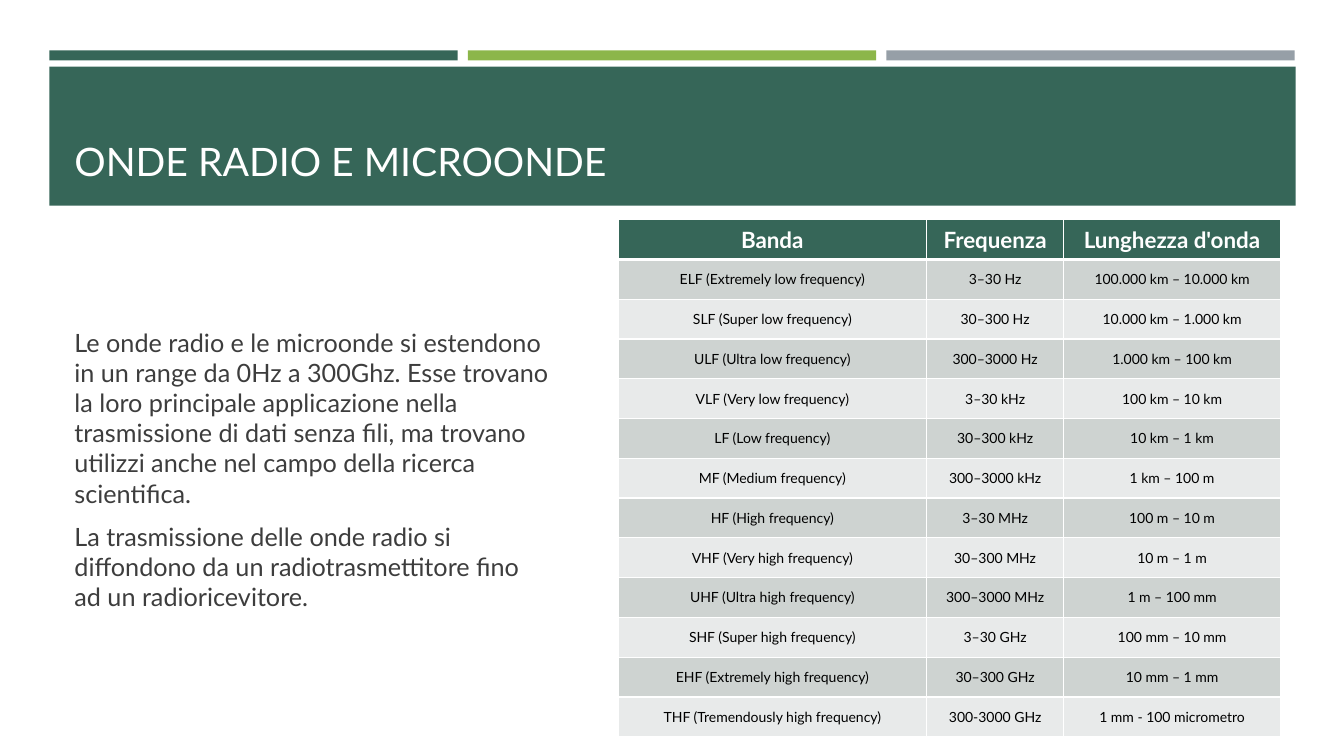
from dataclasses import dataclass

from lxml import etree
from pptx import Presentation
from pptx.dml.color import RGBColor
from pptx.enum import shapes, text
from pptx.oxml import ns
from pptx.util import Inches, Pt


@dataclass(frozen=True)
class Theme:
    font: str = "Lato"
    green: str = "366658"
    lime: str = "8CB64A"
    grey: str = "969FA7"
    white: str = "FFFFFF"
    black: str = "000000"
    body_text: str = "3D3D3D"
    bands: tuple = ("CED3D1", "E8EAEA")
    title_size: int = 28
    body_size: int = 18
    header_size: int = 16
    cell_size: int = 10


theme = Theme()


def add_run(paragraph, content, size, color, bold=False):
    run = paragraph.add_run()
    run.text = content
    run.font.name = theme.font
    run.font.size = Pt(size)
    run.font.bold = bold
    run.font.color.rgb = RGBColor.from_string(color)


def add_border(cell, side, width):
    """Draw a white line on one side (L, R, T or B); call before filling the cell."""
    properties = cell._tc.get_or_add_tcPr()
    line = etree.SubElement(properties, ns.qn(f"a:ln{side}"), w=str(Pt(width)))
    fill = etree.SubElement(line, ns.qn("a:solidFill"))
    etree.SubElement(fill, ns.qn("a:srgbClr"), val=theme.white)


presentation = Presentation()
presentation.slide_width = Inches(13.33)
presentation.slide_height = Inches(7.5)
slide = presentation.slides.add_slide(presentation.slide_layouts[6])

# Three accent bars above the title band
bar_pitch = 4.15
rectangles = [
    (0.49 + index * bar_pitch, 0.5, 4.05, 0.1, color)
    for index, color in enumerate((theme.green, theme.lime, theme.grey))
]
rectangles.append((0.49, 0.66, 12.36, 1.38, theme.green))
for left, top, width, height, color in rectangles:
    shape = slide.shapes.add_shape(
        shapes.MSO_SHAPE.RECTANGLE,
        Inches(left), Inches(top), Inches(width), Inches(height),
    )
    shape.shadow.inherit = False
    shape.fill.solid()
    shape.fill.fore_color.rgb = RGBColor.from_string(color)
    shape.line.fill.background()

# Title
title = slide.shapes.add_textbox(Inches(0.64), Inches(0.8), Inches(12.06), Inches(1.08))
title.text_frame.word_wrap = True
title.text_frame.vertical_anchor = text.MSO_ANCHOR.BOTTOM
add_run(title.text_frame.paragraphs[0], "ONDE RADIO E MICROONDE", theme.title_size, theme.white)

# Description
body_paragraphs = [
    "Le onde radio e le microonde si estendono in un range da 0Hz a 300Ghz. "
    "Esse trovano la loro principale applicazione nella trasmissione di dati "
    "senza fili, ma trovano utilizzi anche nel campo della ricerca scientifica.",
    "La trasmissione delle onde radio si diffondono da un radiotrasmettitore "
    "fino ad un radioricevitore.",
]
body = slide.shapes.add_textbox(Inches(0.64), Inches(2.67), Inches(4.93), Inches(3.97))
body.text_frame.word_wrap = True
body.text_frame.vertical_anchor = text.MSO_ANCHOR.MIDDLE
for index, content in enumerate(body_paragraphs):
    paragraph = body.text_frame.add_paragraph() if index else body.text_frame.paragraphs[0]
    paragraph.space_before = Pt(3)
    paragraph.space_after = Pt(6)
    add_run(paragraph, content, theme.body_size, theme.body_text)

# Table of frequency bands
rows = [
    ("Banda", "Frequenza", "Lunghezza d'onda"),
    ("ELF (Extremely low frequency)", "3–30 Hz", "100.000 km – 10.000 km"),
    ("SLF (Super low frequency)", "30–300 Hz", "10.000 km – 1.000 km"),
    ("ULF (Ultra low frequency)", "300–3000 Hz", "1.000 km – 100 km"),
    ("VLF (Very low frequency)", "3–30 kHz", "100 km – 10 km"),
    ("LF (Low frequency)", "30–300 kHz", "10 km – 1 km"),
    ("MF (Medium frequency)", "300–3000 kHz", "1 km – 100 m"),
    ("HF (High frequency)", "3–30 MHz", "100 m – 10 m"),
    ("VHF (Very high frequency)", "30–300 MHz", "10 m – 1 m"),
    ("UHF (Ultra high frequency)", "300–3000 MHz", "1 m – 100 mm"),
    ("SHF (Super high frequency)", "3–30 GHz", "100 mm – 10 mm"),
    ("EHF (Extremely high frequency)", "30–300 GHz", "10 mm – 1 mm"),
    ("THF (Tremendously high frequency)", "300-3000 GHz", "1 mm - 100 micrometro"),
]
column_widths = (3.06, 1.36, 2.15)
table = slide.shapes.add_table(
    len(rows), len(column_widths),
    Inches(6.13), Inches(2.18), Inches(sum(column_widths)), Inches(5.13),
).table
for column, width in zip(table.columns, column_widths):
    column.width = Inches(width)

for row_index, row in enumerate(rows):
    is_header = row_index == 0
    fill_color = theme.green if is_header else theme.bands[(row_index - 1) % 2]
    size = theme.header_size if is_header else theme.cell_size
    color = theme.white if is_header else theme.black
    for column_index, content in enumerate(row):
        cell = table.cell(row_index, column_index)
        for side in "LRTB":
            add_border(cell, side, 3 if is_header and side == "B" else 1)
        cell.fill.solid()
        cell.fill.fore_color.rgb = RGBColor.from_string(fill_color)
        cell.vertical_anchor = text.MSO_ANCHOR.MIDDLE
        paragraph = cell.text_frame.paragraphs[0]
        paragraph.alignment = text.PP_ALIGN.CENTER
        add_run(paragraph, content, size, color, bold=is_header)

presentation.save("out.pptx")
